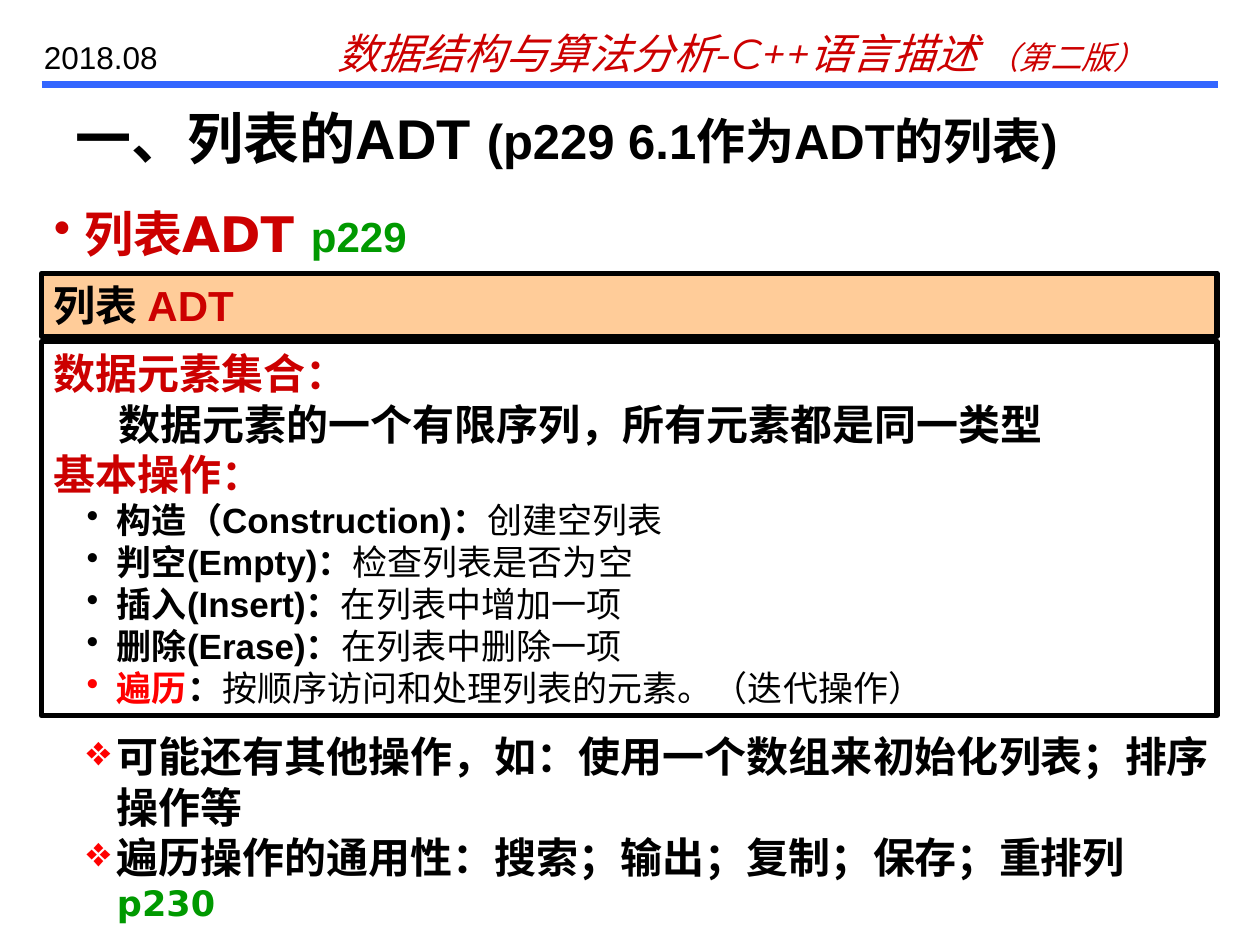
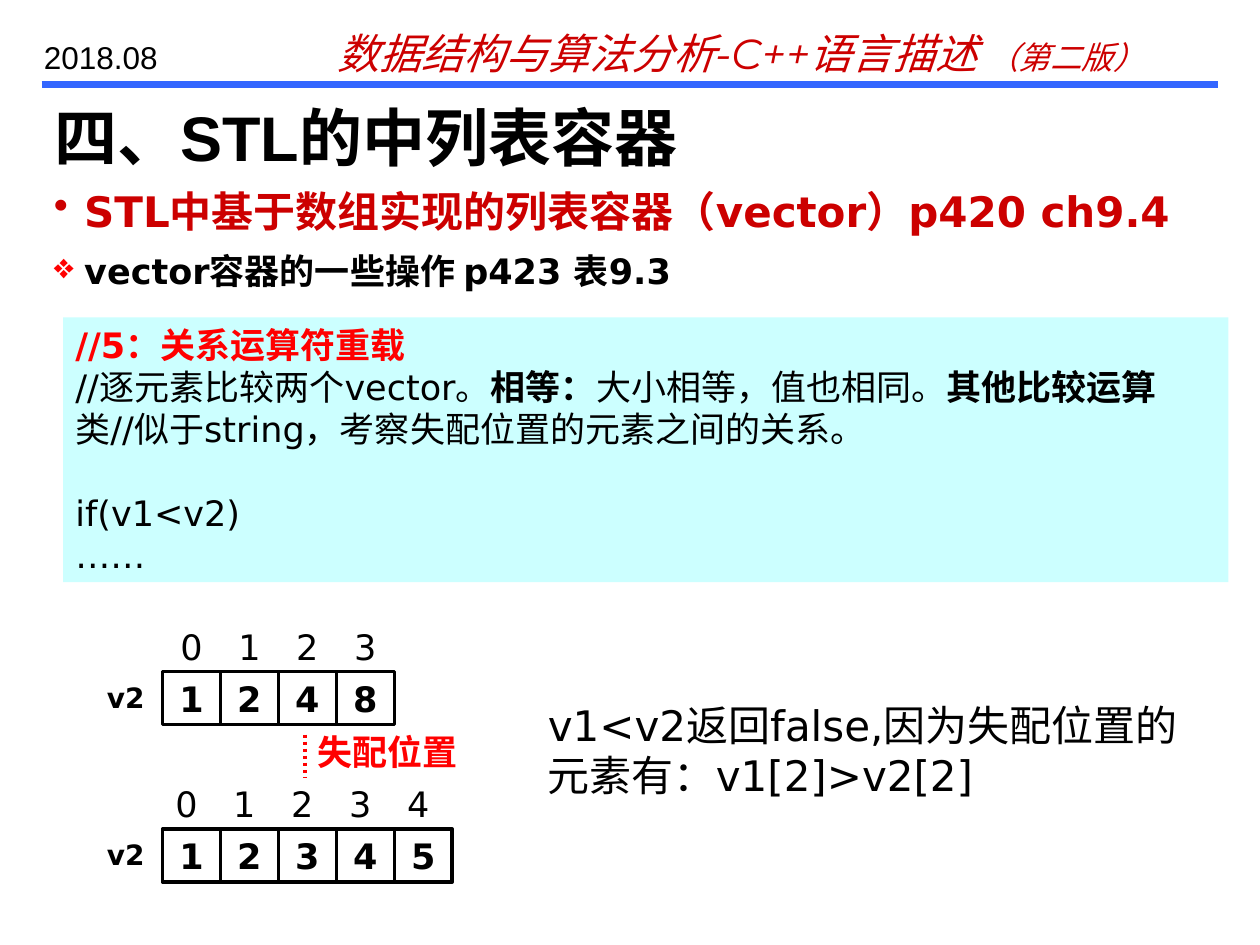
from lxml.etree import SubElement
from pptx import Presentation
from pptx.dml.color import RGBColor
from pptx.enum.dml import MSO_LINE_DASH_STYLE as Dash
from pptx.enum.lang import MSO_LANGUAGE_ID as Language
from pptx.enum.shapes import MSO_CONNECTOR as Connector, MSO_SHAPE as Preset
from pptx.enum.text import MSO_ANCHOR as Anchor, PP_ALIGN as Align
from pptx.oxml.ns import qn
from pptx.util import Inches, Pt

BLACK, RED, DARK_RED, GREEN = "000000", "FF0000", "CC0000", "009900"
BLUE, ORANGE, CYAN = "3366FF", "FFCC99", "CCFFFF"
SANS, ARIAL, HEADER = "DejaVu Sans", "Arial", "Montserrat"
color = RGBColor.from_string


def add_box(page, place, fill=None, line_width=None, wrap=True):
    place = [Inches(value) for value in place]
    if fill or line_width:
        box = page.shapes.add_shape(Preset.RECTANGLE, *place)
        box.shadow.inherit = False
        box.fill.background()
        box.line.fill.background()
        if fill:
            box.fill.solid()
            box.fill.fore_color.rgb = color(fill)
        if line_width:
            box.line.color.rgb = color(BLACK)
            box.line.width = Pt(line_width)
    else:
        box = page.shapes.add_textbox(*place)
    box.text_frame.word_wrap = wrap
    box.text_frame.vertical_anchor = Anchor.TOP
    return box


def write(box, lines, font=SANS, align=Align.LEFT, bullet=None, margin=0.0, hanging=0.0, italic=False):
    frame = box.text_frame
    for index, spans in enumerate(lines):
        para = frame.paragraphs[0] if index == 0 and not frame.text else frame.add_paragraph()
        para.alignment = align
        properties = para._p.get_or_add_pPr()
        properties.set("marL", str(Inches(margin)))
        properties.set("indent", str(Inches(-hanging)))
        if bullet:
            bullet_color = SubElement(properties, qn("a:buClr"))
            SubElement(bullet_color, qn("a:srgbClr"), val=RED if bullet == "❖" else spans[0][2])
            SubElement(properties, qn("a:buChar"), char=bullet)
        for text, size, text_color, bold in spans:
            span = para.add_run()
            span.text = text
            span.font.name = font
            span.font.size = Pt(size)
            span.font.bold = bold
            span.font.italic = italic
            span.font.color.rgb = color(text_color)
            span.font.language_id = Language.SIMPLIFIED_CHINESE


deck = Presentation()
deck.slide_width, deck.slide_height = Inches(10), Inches(7.5)

titles = [
    (0.5, [("一、列表的ADT ", 32, BLACK, True), ("(p229 6.1作为ADT的列表)", 28, BLACK, True)]),
    (0.33, [("四、STL的中列表容器", 36, BLACK, True)]),
]
pages = []
for left, spans in titles:
    page = deck.slides.add_slide(deck.slide_layouts[5])
    pages.append(page)
    rule = page.shapes.add_connector(
        Connector.STRAIGHT, Inches(0.33), Inches(0.67), Inches(9.67), Inches(0.67))
    rule.line.color.rgb = color(BLUE)
    rule.line.width = Pt(4)
    SubElement(rule._element.spPr, qn("a:effectLst"))
    write(add_box(page, (2.58, 0.17, 7, 0.5)),
          [[("数据结构与算法分析-C++语言描述 ", 24, DARK_RED, False), ("（第二版）", 18, DARK_RED, False)]],
          HEADER, italic=True)
    write(add_box(page, (0.25, 0.25, 1.42, 0.4)), [[("2018.08", 18, BLACK, False)]], ARIAL)
    title = page.shapes.title
    title.left, title.top = Inches(left), Inches(0.75)
    title.width, title.height = Inches(9), Inches(0.67)
    title.text_frame.vertical_anchor = Anchor.MIDDLE
    write(title, [spans], ARIAL)

adt_page, vector_page = pages

write(add_box(adt_page, (0.33, 1.57, 9.42, 0.57)),
      [[("列表ADT ", 28, DARK_RED, True)]], bullet="•", margin=0.24, hanging=0.24)
heading = adt_page.shapes[-1].text_frame.paragraphs[0]
page_number = heading.add_run()
page_number.text = "p229"
page_number.font.name = ARIAL
page_number.font.size = Pt(24)
page_number.font.bold = True
page_number.font.color.rgb = color(GREEN)

write(add_box(adt_page, (0.33, 2.17, 9.33, 0.5), ORANGE, 3),
      [[("列表 ", 24, BLACK, True), ("ADT", 24, DARK_RED, True)]], ARIAL)

operations = [
    ("构造（Construction)：", "创建空列表"),
    ("判空(Empty)：", "检查列表是否为空"),
    ("插入(Insert)：", "在列表中增加一项"),
    ("删除(Erase)：", "在列表中删除一项"),
]
operation_lines = [[(name, 20, BLACK, True), (purpose, 20, BLACK, False)] for name, purpose in operations]
operation_lines.append([
    ("遍历", 20, RED, True), ("：", 20, BLACK, True),
    ("按顺序访问和处理列表的元素。（迭代操作）", 20, BLACK, False)])
definition = add_box(adt_page, (0.33, 2.71, 9.33, 2.97), line_width=3)
write(definition, [[("数据元素集合：", 24, DARK_RED, True)]], ARIAL)
write(definition, [[("数据元素的一个有限序列，所有元素都是同一类型", 24, BLACK, True)]], ARIAL, hanging=-0.51)
write(definition, [[("基本操作：", 24, DARK_RED, True)]], ARIAL)
write(definition, operation_lines, ARIAL, bullet="•", margin=0.5, hanging=0.24)

write(add_box(adt_page, (0.33, 5.75, 9.42, 1.64)), [
    [("可能还有其他操作，如：使用一个数组来初始化列表；排序操作等", 24, BLACK, True)],
    [("遍历操作的通用性：搜索；输出；复制；保存；重排列", 24, BLACK, True), ("p230", 20, GREEN, True)],
], bullet="❖", margin=0.5, hanging=0.24)

write(add_box(vector_page, (0.33, 1.42, 9.42, 0.5)),
      [[("STL中基于数组实现的列表容器（vector）p420 ch9.4", 24, DARK_RED, True)]],
      bullet="•", margin=0.24, hanging=0.24)
write(add_box(vector_page, (0.33, 1.93, 9.42, 0.44)),
      [[("vector容器的一些操作 p423 表9.3", 20, BLACK, True)]],
      bullet="❖", margin=0.24, hanging=0.24)

code = add_box(vector_page, (0.5, 2.52, 9.25, 2.1), CYAN)
write(code, [
    [("//5：关系运算符重载", 20, RED, True)],
    [("//逐元素比较两个vector。", 20, BLACK, False), ("相等：", 20, BLACK, True),
     ("大小相等，值也相同。", 20, BLACK, False), ("其他比较运算", 20, BLACK, True),
     ("类//似于string，考察失配位置的元素之间的关系。", 20, BLACK, False)],
    [("if(v1<v2)", 20, BLACK, False)],
    [("……", 20, BLACK, False)],
])
code.text_frame.paragraphs[2].space_before = Pt(24)

cell_width, cell_height, first_cell = 0.46, 0.42, 1.29
arrays = [
    ("v2", [1, 2, 4, 8], 5.33, 1.29),
    ("v2", [1, 2, 3, 4, 5], 6.58, 1.25),
]
for name, values, top, first_index in arrays:
    write(add_box(vector_page, (0.75, top + 0.02, 0.54, 0.37)), [[(name, 16, BLACK, True)]])
    for index, value in enumerate(values):
        offset = index * cell_width
        cell = add_box(vector_page, (first_cell + offset, top, cell_width, cell_height),
                       line_width=2, wrap=False)
        label = add_box(vector_page, (first_index + offset, top - 0.41, cell_width, cell_height), wrap=False)
        for box, number, bold in [(cell, value, True), (label, index, False)]:
            box.text_frame.vertical_anchor = Anchor.MIDDLE
            write(box, [[(str(number), 20, BLACK, bold)]], align=Align.CENTER)

write(add_box(vector_page, (2.42, 5.75, 1.31, 0.44), wrap=False), [[("失配位置", 20, RED, True)]])
mismatch = vector_page.shapes.add_connector(
    Connector.STRAIGHT, Inches(2.42), Inches(5.83), Inches(2.42), Inches(6.17))
mismatch.line.color.rgb = color(RED)
mismatch.line.width = Pt(2)
mismatch.line.dash_style = Dash.ROUND_DOT
SubElement(mismatch._element.spPr, qn("a:effectLst"))

write(add_box(vector_page, (4.25, 5.5, 5.25, 0.9)),
      [[("v1<v2返回false,因为失配位置的元素有：v1[2]>v2[2]", 24, BLACK, False)]])

deck.save("out.pptx")
